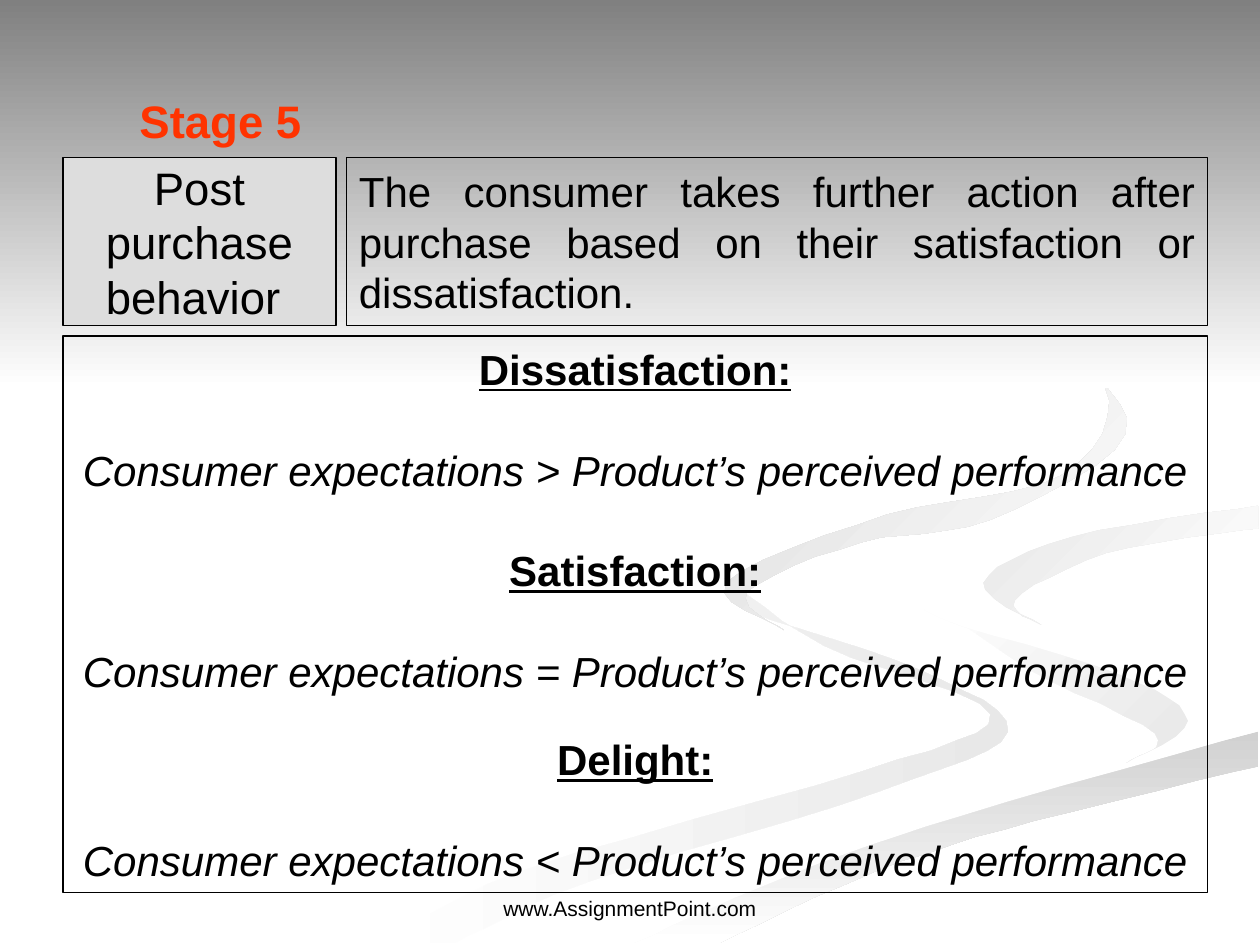
from dataclasses import dataclass, field

from pptx import Presentation
from pptx.dml.color import RGBColor
from pptx.enum.shapes import MSO_SHAPE
from pptx.enum.text import MSO_ANCHOR, PP_ALIGN
from pptx.util import Pt

Edge = list[tuple[float, float]]


@dataclass(frozen=True)
class Theme:
    font: str = "Arial"
    ink: str = "000000"
    accent: str = "FF3300"
    panel: str = "DDDDDD"
    white: str = "FFFFFF"
    header: str = "808080"
    soft: str = "E8E8E8"
    middle: str = "D8D8D8"
    strong: str = "D1D1D1"
    stage: float = 26
    body: float = 24
    footer: float = 12


@dataclass
class Ribbon:
    edges: list[Edge]
    colors: tuple[str, ...]
    angle: int = 0


@dataclass
class Para:
    text: str
    size: float
    format: dict = field(default_factory=dict)
    before: float = 0


@dataclass
class Box:
    frame: tuple[float, float, float, float]
    paras: list[Para]
    align: PP_ALIGN = PP_ALIGN.CENTER
    anchor: MSO_ANCHOR = MSO_ANCHOR.MIDDLE
    color: str = "000000"
    outlined: bool = True
    fill: str | None = None
    wrap: bool = True


T = Theme()

# Ribbon edges: a smooth curve runs through each list of points
LOW_OUTER = [(414, 330), (428, 349), (526, 383), (576, 418), (503, 452), (336, 504), (260, 539)]
LOW_INNER = [(216, 539), (300, 497), (492, 441), (566, 408), (471, 369), (414, 330)]
BEND_OUTER = [(521, 334), (537, 353), (639, 385), (679, 412), (644, 436)]
BEND_INNER = [(644, 436), (660, 419), (587, 382), (521, 334)]
TAIL_TOP = [(362, 539), (454, 499), (550, 466), (719, 418)]
TAIL_BOTTOM = [(719, 438), (591, 469), (500, 498), (411, 539)]
RIGHT_OUTER = [(595, 357), (562, 333), (612, 307), (719, 289)]
RIGHT_INNER = [(719, 302), (632, 316), (580, 343), (595, 357)]
TOP_OUTER = [(448, 360), (427, 338), (492, 310), (566, 297), (643, 248), (607, 198), (549, 168)]
TOP_INNER = [(549, 168), (631, 220), (606, 272), (507, 294), (415, 333), (448, 360)]
BAND_LEFT = [(644, 436), (446, 492), (343, 539)]
BAND_RIGHT = [(719, 387), (651, 374), (595, 357)]
BAND_TOP = [(719, 279), (598, 299), (521, 334)]

RIBBONS = [
    Ribbon([LOW_OUTER, LOW_INNER], (T.white, T.soft)),
    Ribbon([BEND_OUTER, BEND_INNER], (T.white, T.soft), 45),
    Ribbon([TAIL_TOP, TAIL_BOTTOM], (T.strong, T.white), 90),
    Ribbon([BEND_OUTER, BAND_LEFT, TAIL_TOP, BAND_RIGHT, RIGHT_OUTER, BAND_TOP], (T.white,)),
    Ribbon([RIGHT_OUTER, RIGHT_INNER], (T.soft, T.white), 45),
    Ribbon([TOP_OUTER, TOP_INNER], (T.middle, T.white), 45),
]

# Outcomes: heading, comparison sign, space before the heading
LINE = 28.8
OUTCOMES = [("Dissatisfaction:", ">", 0), ("Satisfaction:", "=", LINE), ("Delight:", "<", 21.6)]
HEADING = {"bold": True, "underline": True}
outcome_paras = [
    para
    for name, sign, before in OUTCOMES
    for para in (
        Para(name, T.body, HEADING, before),
        Para(f"Consumer expectations {sign} Product’s perceived performance",
             T.body, {"italic": True}, LINE),
    )
]

BOXES = [
    Box((36, 90, 156, 96), [Para("Post purchase behavior ", T.stage)], fill=T.panel),
    Box((60, 48, 132, 42), [Para("Stage 5", T.stage, {"bold": True})],
        color=T.accent, outlined=False, wrap=False),
    Box((198, 90, 492, 96),
        [Para("The consumer takes further action after purchase based on their "
              "satisfaction or dissatisfaction.", T.body)], align=PP_ALIGN.JUSTIFY),
    Box((36, 192, 654, 318), outcome_paras),
    Box((246, 492, 228, 37.5), [Para("www.AssignmentPoint.com", T.footer)],
        anchor=MSO_ANCHOR.BOTTOM, outlined=False),
]


def rgb(color: str) -> RGBColor:
    return RGBColor.from_string(color)


def smooth(edge: Edge, steps: int = 6) -> Edge:
    """Catmull-Rom curve through the points of an edge."""
    ends = [edge[0], *edge, edge[-1]]
    curve = [edge[0]]
    for a, b, c, d in zip(ends, ends[1:], ends[2:], ends[3:]):
        for t in (i / steps for i in range(1, steps + 1)):
            curve.append(tuple(
                q + t / 2 * (r - p + t * (2 * p - 5 * q + 4 * r - u + t * (3 * (q - r) + u - p)))
                for p, q, r, u in zip(a, b, c, d)))
    return curve


def paint(sp, colors: tuple[str, ...], angle: int) -> None:
    """Fill with one colour, or a two-colour gradient turned clockwise."""
    sp.shadow.inherit = False
    sp.line.fill.background()
    if len(colors) == 1:
        sp.fill.solid()
        sp.fill.fore_color.rgb = rgb(colors[0])
        return
    sp.fill.gradient()
    sp.fill.gradient_angle = -angle % 360
    for stop, position, color in zip(sp.fill.gradient_stops, (0, 1), colors):
        stop.position = position
        stop.color.rgb = rgb(color)


def draw_ribbon(s, ribbon: Ribbon) -> None:
    points = [point for edge in ribbon.edges for point in smooth(edge)]
    builder = s.shapes.build_freeform(*points[0], scale=Pt(1))
    builder.add_line_segments(points[1:], close=True)
    paint(builder.convert_to_shape(), ribbon.colors, ribbon.angle)


def draw_box(s, box: Box) -> None:
    frame = [Pt(v) for v in box.frame]
    if box.outlined:
        sp = s.shapes.add_shape(MSO_SHAPE.RECTANGLE, *frame)
        sp.shadow.inherit = False
        sp.line.color.rgb = rgb(T.ink)
        sp.line.width = Pt(0.75)
        if box.fill:
            sp.fill.solid()
            sp.fill.fore_color.rgb = rgb(box.fill)
        else:
            sp.fill.background()
    else:
        sp = s.shapes.add_textbox(*frame)
    tf = sp.text_frame
    tf.word_wrap = box.wrap
    tf.vertical_anchor = box.anchor
    for i, para in enumerate(box.paras):
        p = tf.paragraphs[0] if i == 0 else tf.add_paragraph()
        p.alignment = box.align
        if para.before:
            p.space_before = Pt(para.before)
        r = p.add_run()
        r.text = para.text
        r.font.color.rgb = rgb(box.color)
        for name, value in {"name": T.font, "size": Pt(para.size), **para.format}.items():
            setattr(r.font, name, value)


def main() -> None:
    prs = Presentation()
    prs.slide_width, prs.slide_height = Pt(720), Pt(540)
    s = prs.slides.add_slide(prs.slide_layouts[6])

    # Background: ribbons, then the fading header over them
    for ribbon in RIBBONS:
        draw_ribbon(s, ribbon)
    header = s.shapes.add_shape(MSO_SHAPE.RECTANGLE, 0, 0, Pt(720), Pt(222))
    paint(header, (T.header, T.white), 90)

    # Content
    for box in BOXES:
        draw_box(s, box)
    prs.save("out.pptx")


if __name__ == "__main__":
    main()
